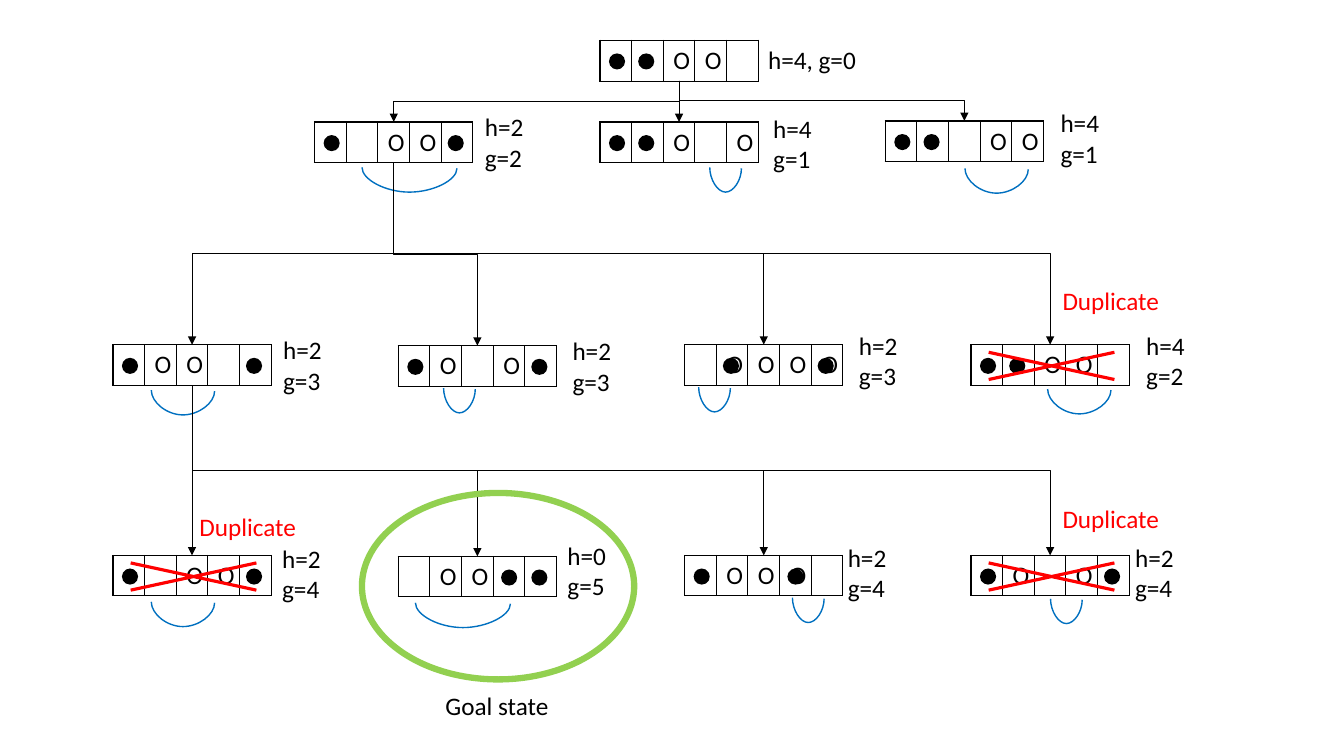
from typing import NamedTuple, Optional

from lxml import etree
from pptx import Presentation
from pptx.dml.color import RGBColor
from pptx.enum.shapes import MSO_CONNECTOR, MSO_SHAPE
from pptx.enum.text import PP_ALIGN
from pptx.oxml.ns import qn
from pptx.util import Inches, Pt

BLACK = RGBColor(0x00, 0x00, 0x00)
RED = RGBColor(0xFF, 0x00, 0x00)
BLUE = RGBColor(0x00, 0x70, 0xC0)
GREEN = RGBColor(0x92, 0xD0, 0x50)
OVAL, CROSS = MSO_SHAPE.OVAL, MSO_SHAPE.MATH_MULTIPLY
STRAIGHT, ELBOW, CURVE = MSO_CONNECTOR.STRAIGHT, MSO_CONNECTOR.ELBOW, MSO_CONNECTOR.CURVE
CENTER = PP_ALIGN.CENTER

FONT = {"name": "Calibri", "size": Pt(18)}
BOARD_W, BOARD_H, CELL_COUNT = 1.57, 0.4, 5
CELL_W = BOARD_W / CELL_COUNT
DOT_SIZE = 0.16
DOT_LEFT = {0: 0.09, 1: 0.38, 3: 1.02, 4: 1.32}
ARC_DEPTH, ARC_RISE = 0.25, 0.01


class State(NamedTuple):
    """One board of the search tree; offsets are relative to its corner."""
    left: float
    top: float
    rings: tuple
    dots: tuple
    scores: tuple
    scores_offset: tuple
    arc: Optional[tuple] = None        # left, top, cells jumped
    duplicate: Optional[tuple] = None  # offset of the "Duplicate" label


ROOT = State(5.95, 0.4, (2, 3), (0, 1), ("h=4, g=0",), (1.57, -0.01))
FIRST_MOVES = [
    State(3.12, 1.21, (2, 3), (0, 4), ("h=2", "g=2"), (1.59, -0.15), (0.47, 0.45, 3)),
    State(5.95, 1.21, (2, 4), (0, 1), ("h=4", "g=1"), (1.62, -0.14), (1.09, 0.45, 1)),
    State(8.78, 1.2, (3, 4), (0, 1), ("h=4", "g=1"), (1.64, -0.18), (0.79, 0.47, 2)),
]
SECOND_MOVES = [
    State(1.12, 3.42, (1, 2), (0, 4), ("h=2", "g=3"), (1.59, -0.15), (0.38, 0.45, 2)),
    State(3.95, 3.43, (1, 3), (0, 4), ("h=2", "g=3"), (1.63, -0.15), (0.45, 0.42, 1)),
    State(6.79, 3.42, (1, 2, 3, 4), (1, 4), ("h=2", "g=3"), (1.63, -0.19), (0.14, 0.42, 1)),
    State(9.63, 3.42, (2, 3), (0, 1), ("h=4", "g=2"), (1.64, -0.19), (0.76, 0.44, 2),
          (0.81, -0.64)),
]
THIRD_MOVES = [
    State(1.12, 5.51, (2, 3), (0, 4), ("h=2", "g=4"), (1.58, -0.17), (0.38, 0.46, 2),
          (0.76, -0.49)),
    State(3.95, 5.52, (1, 2), (3, 4), ("h=0", "g=5"), (1.58, -0.21), (0.17, 0.46, 3)),
    State(6.79, 5.51, (1, 2, 3), (0, 3), ("h=2", "g=4"), (1.52, -0.18), (1.07, 0.42, 1)),
    State(9.63, 5.51, (1, 3), (0, 4), ("h=2", "g=4"), (1.53, -0.18), (0.79, 0.43, 1),
          (0.81, -0.57)),
]


def apply_format(target, values):
    """Set each attribute of target from a dict."""
    for name, value in values.items():
        setattr(target, name, value)


def write_line(paragraph, text, color):
    """Put one formatted run in a paragraph."""
    run = paragraph.add_run()
    run.text = text
    apply_format(run.font, FONT)
    run.font.color.rgb = color


def add_label(slide, left, top, lines, width, color=BLACK):
    """Write lines of text in a box that does not wrap."""
    height = 0.4 if len(lines) == 1 else 0.71
    frame = slide.shapes.add_textbox(
        Inches(left), Inches(top), Inches(width), Inches(height)).text_frame
    frame.word_wrap = False
    for index, text in enumerate(lines):
        paragraph = frame.add_paragraph() if index else frame.paragraphs[0]
        write_line(paragraph, text, color)


def add_figure(slide, preset, left, top, width, height, fill=None, outline=None):
    """Add a preset shape, either filled or with a thick outline."""
    figure = slide.shapes.add_shape(
        preset, Inches(left), Inches(top), Inches(width), Inches(height))
    figure.shadow.inherit = False
    if fill is None:
        figure.fill.background()
        figure.line.color.rgb = outline
        figure.line.width = Pt(4.5)
    else:
        figure.fill.solid()
        figure.fill.fore_color.rgb = fill
        figure.line.fill.background()
    return figure


def add_path(slide, kind, start, end, color, weight, bend=None, arrow=False):
    """Join two points; bent and curved paths leave and arrive vertically."""
    (x1, y1), (x2, y2) = start, end
    across, down = abs(x2 - x1), y2 - y1
    if kind != STRAIGHT:
        mid_x, mid_y = (x1 + x2) / 2, (y1 + y2) / 2
        start = mid_x - down / 2, mid_y - across / 2
        end = mid_x + down / 2, mid_y + across / 2
    path = slide.shapes.add_connector(kind, *map(Inches, (*start, *end)))
    path.line.color.rgb = color
    path.line.width = Pt(weight)
    properties = path._element.spPr
    if kind != STRAIGHT:
        turn = {"rot": "16200000", "flipH": "1"} if x2 > x1 else {"rot": "5400000"}
        for name, value in turn.items():
            properties.find(qn("a:xfrm")).set(name, value)
    if bend is not None:
        guides = properties.find(qn("a:prstGeom")).get_or_add_avLst()
        etree.SubElement(guides, qn("a:gd"), name="adj1", fmla=f"val {round(bend * 100000)}")
    if arrow:
        etree.SubElement(properties.find(qn("a:ln")), qn("a:tailEnd"), type="triangle")
    etree.SubElement(properties, qn("a:effectLst"))


def border_cell(cell):
    """Give a clear cell a thin black border on every side."""
    cell.fill.background()
    properties = cell._tc.get_or_add_tcPr()
    for index, side in enumerate(("lnL", "lnR", "lnT", "lnB")):
        edge = etree.Element(qn(f"a:{side}"), w=str(int(Pt(1))))
        ink = etree.SubElement(edge, qn("a:solidFill"))
        etree.SubElement(ink, qn("a:srgbClr"), val=str(BLACK))
        properties.insert(index, edge)


def add_board(slide, state):
    """Draw the five cells with their rings and black dots."""
    board = slide.shapes.add_table(
        1, CELL_COUNT, Inches(state.left), Inches(state.top),
        Inches(BOARD_W), Inches(BOARD_H)).table
    apply_format(board, {"first_row": False, "horz_banding": False})
    for index, cell in enumerate(board.iter_cells()):
        board.columns[index].width = Inches(CELL_W)
        border_cell(cell)
        if index in state.rings:
            paragraph = cell.text_frame.paragraphs[0]
            paragraph.alignment = CENTER
            write_line(paragraph, "O", BLACK)
    for slot in state.dots:
        add_figure(slide, OVAL, state.left + DOT_LEFT[slot], state.top + 0.13,
                   DOT_SIZE, DOT_SIZE, fill=BLACK)


def add_state(slide, state):
    """Draw a board with its scores and the arc of the move made."""
    add_board(slide, state)
    dx, dy = state.scores_offset
    width = 1.08 if len(state.scores) == 1 else 0.59
    add_label(slide, state.left + dx, state.top + dy, state.scores, width)
    if state.arc:
        dx, dy, jump = state.arc
        x, y = state.left + dx, state.top + dy
        add_path(slide, CURVE, (x, y), (x + jump * CELL_W, y + ARC_RISE), BLUE, 1,
                 bend=ARC_DEPTH / ARC_RISE)


def add_branches(slide, parent, children):
    """Draw arrows from a parent board down to each child board."""
    start = parent.left + BOARD_W / 2, parent.top + BOARD_H
    for child in children:
        end = child.left + BOARD_W / 2, child.top
        kind = STRAIGHT if child.left == parent.left else ELBOW
        add_path(slide, kind, start, end, BLACK, 0.5, arrow=True)


def mark_duplicate(slide, state):
    """Cross out a state that was seen before."""
    cross = add_figure(slide, CROSS, state.left - 0.4, state.top - 0.05, 2.4, 0.52, fill=RED)
    cross.adjustments[0] = 0.06
    dx, dy = state.duplicate
    add_label(slide, state.left + dx, state.top + dy, ["Duplicate"], 1.17, RED)


def mark_goal(slide, state):
    """Ring the goal state and name it below."""
    add_figure(slide, OVAL, state.left - 0.36, state.top - 0.63, 2.7, 1.85, outline=GREEN)
    add_label(slide, state.left + 0.37, state.top + 1.28, ["Goal state"], 1.23)


def build_search_tree(slide):
    """Lay out the whole search tree."""
    states = [ROOT, *FIRST_MOVES, *SECOND_MOVES, *THIRD_MOVES]
    for state in states:
        add_state(slide, state)
    levels = ((ROOT, FIRST_MOVES), (FIRST_MOVES[0], SECOND_MOVES),
              (SECOND_MOVES[0], THIRD_MOVES))
    for parent, children in levels:
        add_branches(slide, parent, children)
    for state in states:
        if state.duplicate:
            mark_duplicate(slide, state)
    mark_goal(slide, THIRD_MOVES[1])


deck = Presentation()
apply_format(deck, {"slide_width": Inches(13.33), "slide_height": Inches(7.5)})
build_search_tree(deck.slides.add_slide(deck.slide_layouts[6]))
deck.save("out.pptx")
